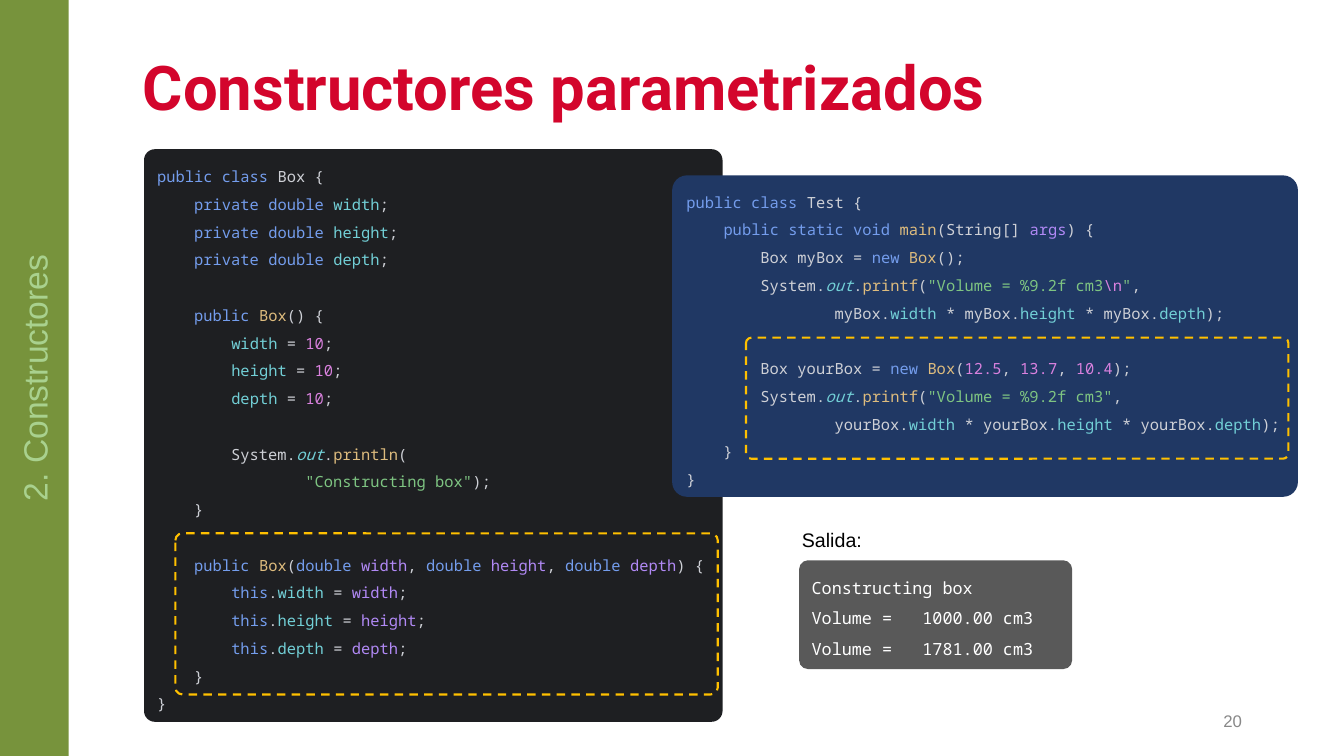
"""Build the slide on parameterised constructors in Java."""
from copy import deepcopy

from pptx import Presentation, util as u
from pptx.dml.color import RGBColor
from pptx.enum import dml, shapes, text

SANS, MONO, HEADING = "Arial", "Noto Sans Mono", "Roboto"
RED = RGBColor(0xD3, 0x05, 0x2C)
GREEN = RGBColor(0x77, 0x93, 0x3C)
PALE_GREEN = RGBColor(0xA9, 0xD1, 0x8E)
GREY = RGBColor(0x88, 0x88, 0x88)
DARK_GREY = RGBColor(0x59, 0x59, 0x59)
NEAR_BLACK = RGBColor(0x1E, 0x1F, 0x22)
NAVY = RGBColor(0x20, 0x38, 0x64)
AMBER = RGBColor(0xFF, 0xC0, 0x00)
BLACK = RGBColor(0x00, 0x00, 0x00)
WHITE = RGBColor(0xFF, 0xFF, 0xFF)
CODE_TEXT = RGBColor(0xCE, 0xD0, 0xD6)
FIELD = RGBColor(0x72, 0xCF, 0xD6)

SYNTAX = {
    "k": RGBColor(0x74, 0x9D, 0xED),
    "f": FIELD,
    "o": FIELD,
    "m": RGBColor(0xDE, 0xBC, 0x7E),
    "n": RGBColor(0xD9, 0x81, 0xDE),
    "s": RGBColor(0x7E, 0xC4, 0x82),
    "p": RGBColor(0xB1, 0x89, 0xF5),
}
ITALIC_ROLE = "o"

TITLE = "Constructores parametrizados"
SECTION = "2. Constructores"
PAGE = "20"
OUTPUT_LABEL = "Salida:"
OUTPUT = ["Constructing box", "Volume =   1000.00 cm3", "Volume =   1781.00 cm3"]

BOX_CLASS = r"""«kpublic class »Box {
    «kprivate double »«fwidth»;
    «kprivate double »«fheight»;
    «kprivate double »«fdepth»;

    «kpublic »«mBox»() {
        «fwidth »= «n10»;
        «fheight »= «n10»;
        «fdepth »= «n10»;

        System.«oout».«mprintln»(
                «s"Constructing box"»);
    }

    «kpublic »«mBox»(«kdouble »«pwidth», «kdouble »«pheight», «kdouble »«pdepth») {
        «kthis».«fwidth »= «pwidth»;
        «kthis».«fheight »= «pheight»;
        «kthis».«fdepth »= «pdepth»;
    }
}"""

TEST_CLASS = r"""«kpublic class »Test {
    «kpublic static void »«mmain»(String[] «pargs») {
        Box myBox = «knew »«mBox»();
        System.«oout».«mprintf»(«s"Volume = %9.2f cm3»«n\n»«s"»,
                myBox.«fwidth »* myBox.«fheight »* myBox.«fdepth»);

        Box yourBox = «knew »«mBox»(«n12.5», «n13.7», «n10.4»);
        System.«oout».«mprintf»(«s"Volume = %9.2f cm3"»,
                yourBox.«fwidth »* yourBox.«fheight »* yourBox.«fdepth»);
    }
}"""

CODE_PANELS = [
    (BOX_CLASS, (3.63, 3.76, 14.58, 14.43), 0.019, NEAR_BLACK),
    (TEST_CLASS, (16.94, 4.42, 15.77, 8.1), 0.046, NAVY),
]
HIGHLIGHTS = [(4.42, 13.44, 13.67, 4.06), (18.8, 8.51, 13.67, 3.05)]
HIGHLIGHT_CORNER = 0.044

deck = Presentation()
deck.slide_width, deck.slide_height = u.Cm(33.87), u.Cm(19.05)
slide = deck.slides.add_slide(deck.slide_layouts[6])


def add_panel(area, fill=None, corner=None):
    kind = shapes.MSO_SHAPE.RECTANGLE if corner is None else shapes.MSO_SHAPE.ROUNDED_RECTANGLE
    panel = slide.shapes.add_shape(kind, *map(u.Cm, area))
    panel.shadow.inherit = False
    panel.line.fill.background()
    if corner is not None:
        panel.adjustments[0] = corner
    if fill is None:
        panel.fill.background()
    else:
        panel.fill.solid()
        panel.fill.fore_color.rgb = fill
    return panel


def add_label(area):
    return slide.shapes.add_textbox(*map(u.Cm, area))


def code_pieces(line):
    """Yield (text, role) pairs from a line with marked syntax roles."""
    plain, *marked = line.split("«")
    yield plain, None
    for piece in marked:
        token, plain = piece.split("»")
        yield token[1:], token[0]
        yield plain, None


def write(holder, paragraphs, *, size, color, font=SANS, bold=None, spacing=None,
          align=text.PP_ALIGN.LEFT, anchor=text.MSO_ANCHOR.MIDDLE, wrap=True, grow=False):
    frame = holder.text_frame
    frame.word_wrap = wrap
    frame.vertical_anchor = anchor
    frame.auto_size = text.MSO_AUTO_SIZE.SHAPE_TO_FIT_TEXT if grow else text.MSO_AUTO_SIZE.NONE
    for index, content in enumerate(paragraphs):
        paragraph = frame.add_paragraph() if index else frame.paragraphs[0]
        paragraph.alignment = align
        paragraph.line_spacing = spacing
        for row, line in enumerate(content.split("\n")):
            if row:
                line_break = paragraph._p.add_br()
                line_break.append(deepcopy(paragraph.runs[0]._r.rPr))
            for words, role in code_pieces(line):
                if not words:
                    continue
                run = paragraph.add_run()
                run.text = words
                run.font.name = font
                run.font.size = u.Pt(size)
                run.font.bold = bold
                run.font.color.rgb = SYNTAX.get(role, color)
                if role == ITALIC_ROLE:
                    run.font.italic = True


write(add_label((3.35, 1.19, 28.19, 2.18)), [TITLE], size=44, color=RED,
      font=HEADING, bold=True, spacing=0.9)
write(add_label((23.93, 17.65, 7.62, 1.02)), [PAGE], size=12, color=GREY,
      align=text.PP_ALIGN.RIGHT)

sidebar = add_panel((0, 0, 1.73, 19.05), GREEN)
write(sidebar, [SECTION], size=24, color=PALE_GREEN, align=text.PP_ALIGN.CENTER)
sidebar.text_frame._txBody.bodyPr.set("vert", "vert270")

for code, area, corner, fill in CODE_PANELS:
    write(add_panel(area, fill, corner), [code], size=11, color=CODE_TEXT,
          font=MONO, spacing=1.5, wrap=False, grow=True)

write(add_label((19.96, 13.18, 2.03, 0.86)), [OUTPUT_LABEL], size=14, color=BLACK,
      anchor=text.MSO_ANCHOR.TOP, wrap=False, grow=True)
write(add_panel((20.14, 14.12, 6.88, 2.74), DARK_GREY, 0.081), OUTPUT, size=12,
      color=WHITE, font=MONO, spacing=1.5, anchor=text.MSO_ANCHOR.TOP, grow=True)

for area in HIGHLIGHTS:
    frame_line = add_panel(area, corner=HIGHLIGHT_CORNER).line
    frame_line.color.rgb = AMBER
    frame_line.width = u.Pt(1.5)
    frame_line.dash_style = dml.MSO_LINE.DASH

deck.save("out.pptx")
